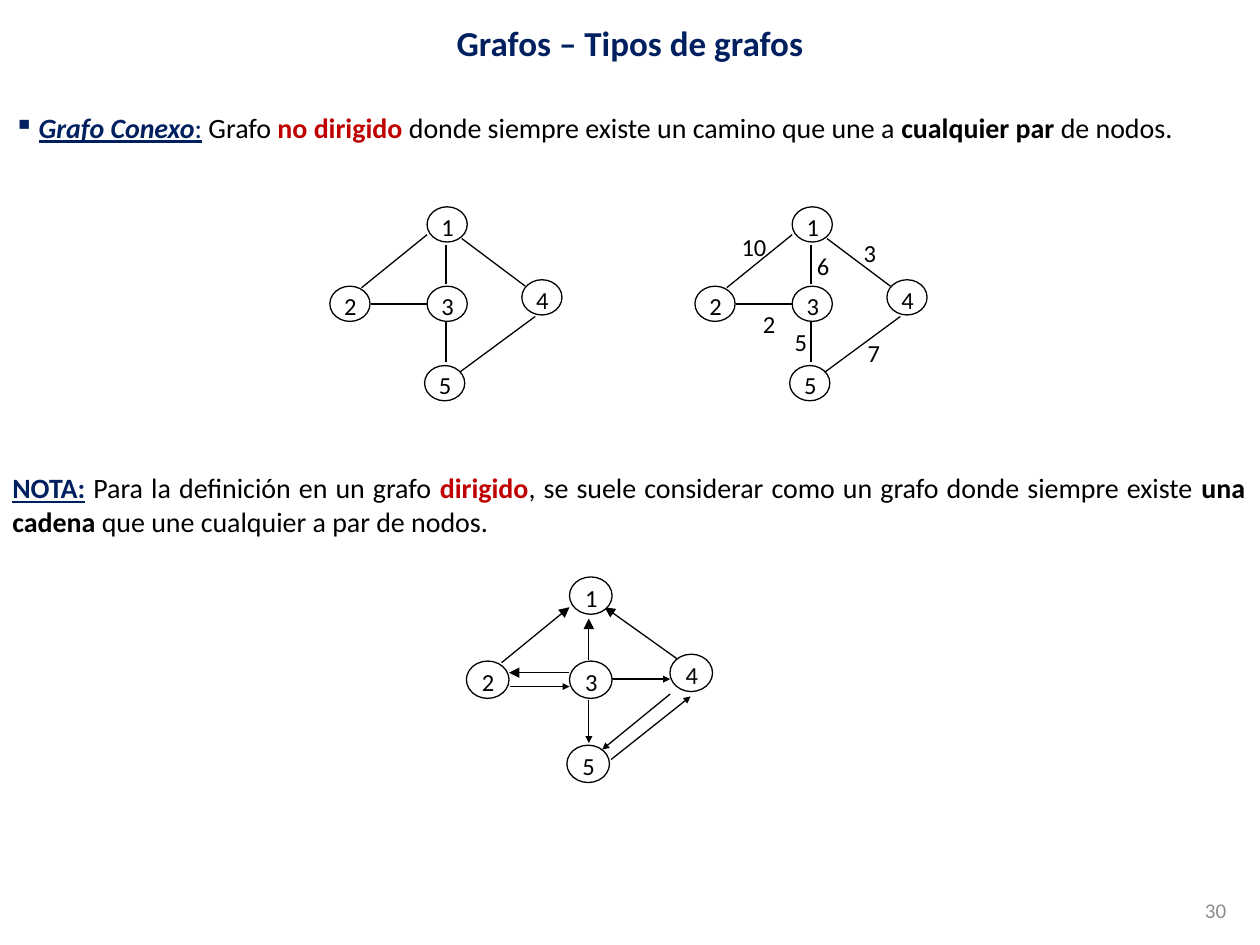
from lxml import etree
from pptx import Presentation
from pptx import util as u
from pptx.dml.color import RGBColor
from pptx.enum import shapes, text
from pptx.oxml.ns import qn

Cm, Pt = u.Cm, u.Pt
INK = {"black": "000000", "white": "FFFFFF", "navy": "002060",
       "red": "C00000", "gray": "8C8C8C"}
ALIGN, ANCHOR = text.PP_ALIGN, text.MSO_ANCHOR

# Node size and places in cm, measured from the corner of node 1
WIDE, HIGH = 0.81, 0.71
NODES = {"1": (0, 0), "3": (0, 1.6), "5": (-0.05, 3.2),
         "4": (1.91, 1.47), "2": (-1.96, 1.6)}
EDGES = [
    (0.38, 0.76, 0.38, 1.55), (0.38, 2.31, 0.38, 3.12),
    (-1.14, 1.96, 0.01, 1.96), (0, 0.56, -1.32, 1.63),
    (2.18, 2.21, 0.66, 3.33), (0.7, 0.64, 1.98, 1.6),
]
COSTS = [("10", -1.27, 0.38), ("3", 1.19, 0.51), ("7", 1.27, 2.51),
         ("5", -0.2, 2.29), ("2", -0.84, 1.93), ("6", 0.25, 0.76)]
# Arrows run from the first point to the second; the last item is the head size
ARROWS = [
    (2.21, 1.68, 0.71, 0.61, "med"), (0.39, 1.68, 0.39, 0.84, "med"),
    (-1.37, 1.73, 0, 0.61, "med"), (0, 1.93, -1.22, 1.93, "med"),
    (0.39, 2.49, 0.39, 3.35, "sm"), (0.82, 2.06, 2.03, 2.06, "sm"),
    (-1.19, 2.21, 0, 2.21, "sm"), (0.84, 3.68, 2.44, 2.41, "sm"),
    (2.03, 2.36, 0.66, 3.48, "sm"),
]

NAVY = {"ink": "navy", "bold": True, "underline": True}
RED = {"ink": "red", "bold": True}
BOLD = {"bold": True}
CONEXO = [
    ("Grafo Conexo", {**NAVY, "italic": True}),
    (":", {"ink": "navy", "underline": True}),
    (" Grafo ", {}), ("no dirigido", RED),
    (" donde siempre existe un camino que une a ", {}),
    ("cualquier par ", BOLD), ("de nodos.", {}),
]
NOTA = [
    ("NOTA:", NAVY), (" Para la definición en un grafo ", {}),
    ("dirigido", RED),
    (", se suele considerar como un grafo donde siempre existe ", {}),
    ("una cadena ", BOLD), ("que une cualquier a par de nodos.", {}),
]


def paint(part, ink):
    """Give a font, fill or line colour from the palette."""
    part.rgb = RGBColor.from_string(INK[ink])


def add_text(host, box, runs, size, align=ALIGN.LEFT, **frame):
    shape = host.add_textbox(*map(Cm, box))
    body = shape.text_frame
    for key, val in {"word_wrap": True, **frame}.items():
        setattr(body, key, val)
    para = body.paragraphs[0]
    para.alignment = align
    for words, look in runs:
        run = para.add_run()
        run.text = words
        form = {"name": "Calibri", "size": Pt(size), "bold": False, **look}
        paint(run.font.color, form.pop("ink", "black"))
        for key, val in form.items():
            setattr(run.font, key, val)
    return para


def add_bullet(para, mark, indent):
    props = para._p.get_or_add_pPr()
    props.set("marL", str(indent))
    props.set("indent", str(-indent))
    etree.SubElement(props, qn("a:buChar")).set("char", mark)


def add_node(host, name, x, y, scale):
    ring = host.add_shape(shapes.MSO_SHAPE.OVAL, Cm(x), Cm(y),
                          Cm(WIDE * scale), Cm(HIGH * scale))
    ring.shadow.inherit = False
    ring.fill.solid()
    paint(ring.fill.fore_color, "white")
    paint(ring.line.color, "black")
    ring.line.width = Pt(0.75)
    box = (x - 0.15 * scale, y - 0.2 * scale, 1.13 * scale, 1.19 * scale)
    para = add_text(host, box, [(name, {})], 14, ALIGN.CENTER,
                    vertical_anchor=ANCHOR.MIDDLE)
    para.space_after = Pt(10)


def add_edge(host, x1, y1, x2, y2, head=None):
    edge = host.add_connector(shapes.MSO_CONNECTOR.STRAIGHT,
                              Cm(x1), Cm(y1), Cm(x2), Cm(y2))
    paint(edge.line.color, "black")
    edge.line.width = Pt(0.75)
    if head:
        tip = etree.SubElement(edge.line._get_or_add_ln(), qn("a:tailEnd"))
        for key, val in {"type": "triangle", "w": head, "len": head}.items():
            tip.set(key, val)
    etree.SubElement(edge._element.spPr, qn("a:effectLst"))


def add_graph(slide, x, y, edges, scale=1, costs=()):
    """Draw edges, nodes and edge costs with node 1 cornered at x, y."""
    host = slide.shapes.add_group_shape().shapes
    for x1, y1, x2, y2, *head in edges:
        add_edge(host, x + x1, y + y1, x + x2, y + y2, *head)
    for name, (dx, dy) in NODES.items():
        add_node(host, name, x + dx * scale, y + dy * scale, scale)
    for cost, dx, dy in costs:
        box = (x + dx, y + dy, 0.5 + 0.26 * len(cost), 0.86)
        add_text(host, box, [(cost, {})], 14, word_wrap=False)


def main():
    deck = Presentation()
    deck.slide_width, deck.slide_height = Cm(25.4), Cm(19.05)
    slide = deck.slides.add_slide(deck.slide_layouts[6])
    host = slide.shapes

    add_text(host, (0, 0, 25.4, 1.7),
             [("Grafos – Tipos de grafos", {"ink": "navy", "bold": True})],
             20, ALIGN.CENTER, vertical_anchor=ANCHOR.MIDDLE)
    para = add_text(host, (0.03, 2.11, 25.35, 0.94), CONEXO, 16, ALIGN.JUSTIFY)
    add_bullet(para, "▪", Cm(0.5))
    add_graph(slide, 8.61, 4.17, EDGES)
    add_graph(slide, 15.97, 4.17, EDGES, costs=COSTS)

    add_text(host, (0, 9.37, 25.35, 1.62), NOTA, 16, ALIGN.JUSTIFY)
    add_graph(slide, 11.48, 11.63, ARROWS, scale=1.06)
    add_text(host, (19.05, 17.83, 5.92, 1.02), [("30", {"ink": "gray"})],
             12, ALIGN.RIGHT, vertical_anchor=ANCHOR.MIDDLE)
    deck.save("out.pptx")


if __name__ == "__main__":
    main()
